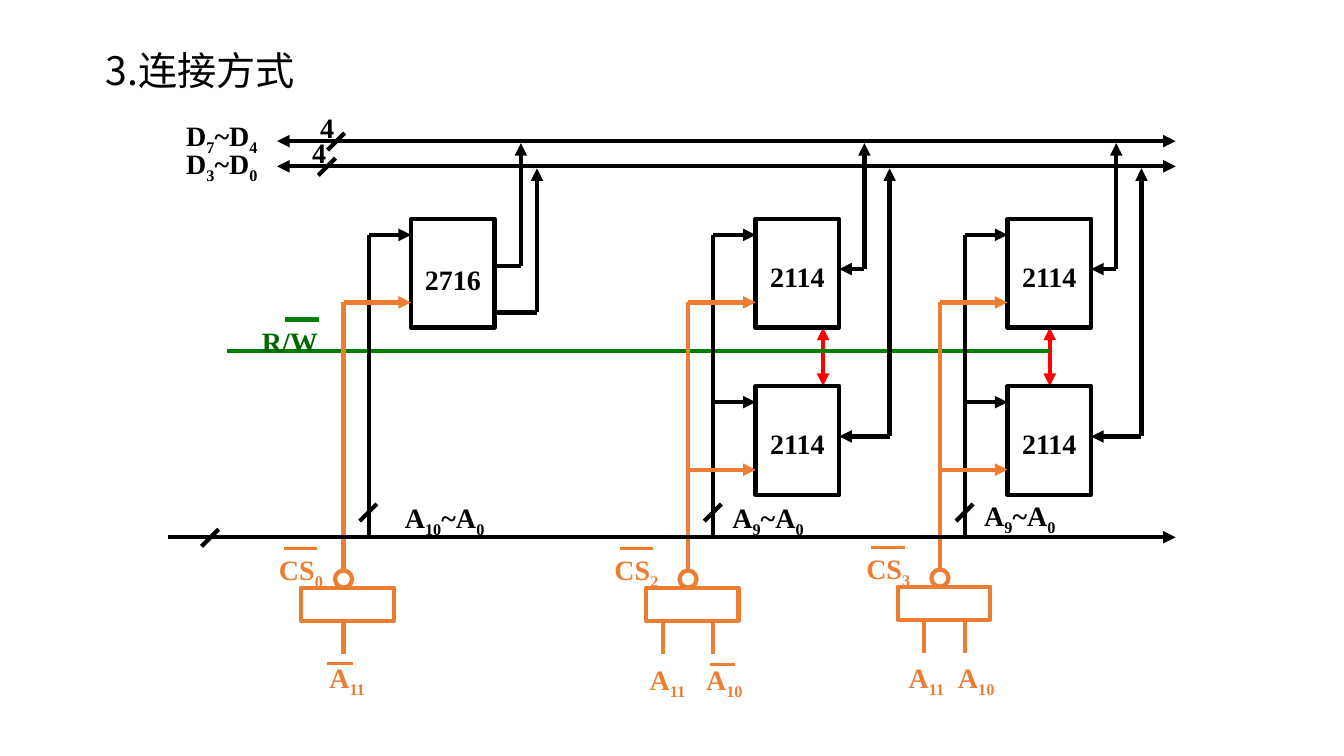
from lxml import etree
from pptx import Presentation
from pptx.dml.color import RGBColor
from pptx.enum.shapes import MSO_CONNECTOR, MSO_SHAPE
from pptx.enum.text import MSO_ANCHOR, PP_ALIGN
from pptx.oxml.ns import qn
from pptx.util import Inches, Pt

COLORS = {"black": "000000", "orange": "ED7D31", "green": "008000",
          "dark green": "006600", "red": "FF0000"}
SERIF, SANS = "Times New Roman", "Noto Sans CJK SC"

# In every label, parts between bars are subscripts.
TITLE = "3.连接方式"
DATA_BUSES = [  # label, label top, line y, width mark (left, top), slash right
    ("D|7|~D|4|", 1.13, 1.40, (3.08, 1.05), 3.42),
    ("D|3|~D|0|", 1.40, 1.65, (3.00, 1.30), 3.33),
]
# Data wires: (y at the chip, distance right of the chip, y of the upper end)
ROM_DATA = [(2.64, 0.26, 1.42), (3.10, 0.42, 1.67)]
RAM_DATA = [(2.67, 0.25, 1.42), (4.33, 0.50, 1.67)]
# Gate inputs: (label, left, top), stubs are offsets from the select line,
# bars are (left, y) of the overlines above inverted inputs
COLUMNS = [
    dict(chip="2716", x=4.08, rows=[2.17], text_drop=0.12, data=ROM_DATA, arrow=False,
         address=("A|10|~A|0|", 3.92, 4.92), select=("CS|0|", 2.67), gate_y=5.83,
         stubs=[0], inputs=[("A|11|", 3.17, 6.50)], bars=[(3.25, 6.58)]),
    dict(chip="2114", x=7.50, rows=[2.17, 3.83], text_drop=0.06, data=RAM_DATA, arrow=True,
         address=("A|9|~A|0|", 7.17, 4.92), select=("CS|2|", 6.00), gate_y=5.83,
         stubs=[-0.25, 0.25], inputs=[("A|11|", 6.35, 6.52), ("A|10|", 6.91, 6.52)],
         bars=[(7.05, 6.59)]),
    dict(chip="2114", x=10.00, rows=[2.17, 3.83], text_drop=0.06, data=RAM_DATA, arrow=True,
         address=("A|9|~A|0|", 9.67, 4.90), select=("CS|3|", 8.50), gate_y=5.82,
         stubs=[-0.16, 0.25], inputs=[("A|11|", 8.92, 6.50), ("A|10|", 9.41, 6.50)],
         bars=[]),
]
CHIP_W, CHIP_H = 0.83, 1.08
GATE_W, GATE_H, BUBBLE = 0.92, 0.33, 0.17
ADDRESS_BUS_Y, READ_WRITE_Y = 5.33, 3.48

deck = Presentation()
deck.slide_width, deck.slide_height = Inches(13.34), Inches(7.5)
page = deck.slides.add_slide(deck.slide_layouts[6])


def rgb(color):
    return RGBColor.from_string(COLORS[color])


def wire(start, end, color="black", head=False, tail=False, width=3):
    """Straight line; head and tail put an arrowhead at its start and end."""
    line = page.shapes.add_connector(MSO_CONNECTOR.STRAIGHT,
                                     *map(Inches, (*start, *end)))
    line.line.color.rgb = rgb(color)
    line.line.width = Pt(width)
    properties = line._element.spPr
    outline = properties.find(qn("a:ln"))
    for tag, wanted in (("a:headEnd", head), ("a:tailEnd", tail)):
        if wanted:
            etree.SubElement(outline, qn(tag), type="triangle")
    etree.SubElement(properties, qn("a:effectLst"))


def slash(right, top):
    wire((right, top), (right - 0.17, top + 0.17))


def write(para, text, color, size=20, font=SERIF, bold=True):
    for index, part in enumerate(text.split("|")):
        if not part:
            continue
        span = para.add_run()
        span.text = part
        span.font.size, span.font.bold, span.font.name = Pt(size), bold, font
        span.font.color.rgb = rgb(color)
        span_properties = span._r.get_or_add_rPr()
        etree.SubElement(span_properties, qn("a:ea"), typeface=font)
        if index % 2:
            span_properties.set("baseline", "-25000")


def label(text, left, top, width=1.42, height=0.48, color="black", **style):
    box = page.shapes.add_textbox(*map(Inches, (left, top, width, height)))
    box.text_frame.word_wrap = True
    write(box.text_frame.paragraphs[0], text, color, **style)


def outline_shape(kind, left, top, width, height, color):
    shape = page.shapes.add_shape(kind, *map(Inches, (left, top, width, height)))
    shape.shadow.inherit = False
    shape.fill.background()
    shape.line.color.rgb = rgb(color)
    shape.line.width = Pt(3)
    return shape


def chip(name, left, top, text_drop):
    frame = outline_shape(MSO_SHAPE.RECTANGLE, left, top, CHIP_W, CHIP_H, "black").text_frame
    frame.margin_left = frame.margin_right = frame.margin_bottom = 0
    frame.margin_top = Inches(text_drop)
    frame.vertical_anchor = MSO_ANCHOR.MIDDLE
    frame.paragraphs[0].alignment = PP_ALIGN.CENTER
    write(frame.paragraphs[0], name, "black")


def select_gate(column, select_x):
    """Inverted-output gate that drives the chip select line."""
    top = column["gate_y"]
    bottom = top + GATE_H
    outline_shape(MSO_SHAPE.RECTANGLE, select_x - 0.42, top, GATE_W, GATE_H, "orange")
    outline_shape(MSO_SHAPE.OVAL, select_x - BUBBLE / 2, top - BUBBLE, BUBBLE, BUBBLE, "orange")
    for offset in column["stubs"]:
        wire((select_x + offset, bottom), (select_x + offset, bottom + GATE_H), "orange")
    for text, left, y in column["inputs"]:
        label(text, left, y, width=0.7, color="orange")
    text, left = column["select"]
    label(text, left, top - 0.4, width=1.08, color="orange")
    overlines = [(left + 0.15, top - 0.39, 0.33)]
    overlines += [(x, y, 0.25) for x, y in column["bars"]]
    for x, y, length in overlines:
        wire((x, y), (x + length, y), "orange", width=2.25)


def memory_column(column):
    x = column["x"]
    address_x, select_x, right = x - 0.42, x - 0.67, x + CHIP_W
    wire((address_x, 2.33), (address_x, ADDRESS_BUS_Y))
    wire((select_x, 3), (select_x, 5.67), "orange")
    for top in column["rows"]:
        chip(column["chip"], x, top, column["text_drop"])
        wire((address_x, top + 0.16), (x, top + 0.16), tail=True)
        wire((select_x, top + 0.83), (x, top + 0.83), "orange", tail=True)
    for y, reach, upper in column["data"]:
        wire((right, y), (right + reach, y), head=column["arrow"])
        wire((right + reach, y), (right + reach, upper), tail=True)
    slash(address_x + 0.08, 5)
    label(*column["address"])
    select_gate(column, select_x)


label(TITLE, 0.95, 0.41, width=5.92, height=0.57, size=28, font=SANS, bold=False)

for link_x in (8.17, 10.42):
    wire((link_x, 3.83), (link_x, 3.25), "red", head=True, tail=True)
wire((2.25, READ_WRITE_Y), (10.42, READ_WRITE_Y), "green")
label("R/W", 2.5, 3.17, width=1.08, height=0.44, color="dark green")
wire((2.83, 3.17), (3.17, 3.17), "green")

for column in COLUMNS:
    memory_column(column)

for text, label_top, y, mark, slash_right in DATA_BUSES:
    wire((2.75, y), (11.67, y), head=True, tail=True)
    label(text, 1.75, label_top)
    label("4", *mark, width=0.83, height=0.44)
    slash(slash_right, y - 0.08)

wire((1.67, ADDRESS_BUS_Y), (11.67, ADDRESS_BUS_Y), tail=True)
slash(2.17, ADDRESS_BUS_Y - 0.08)

deck.save("out.pptx")
